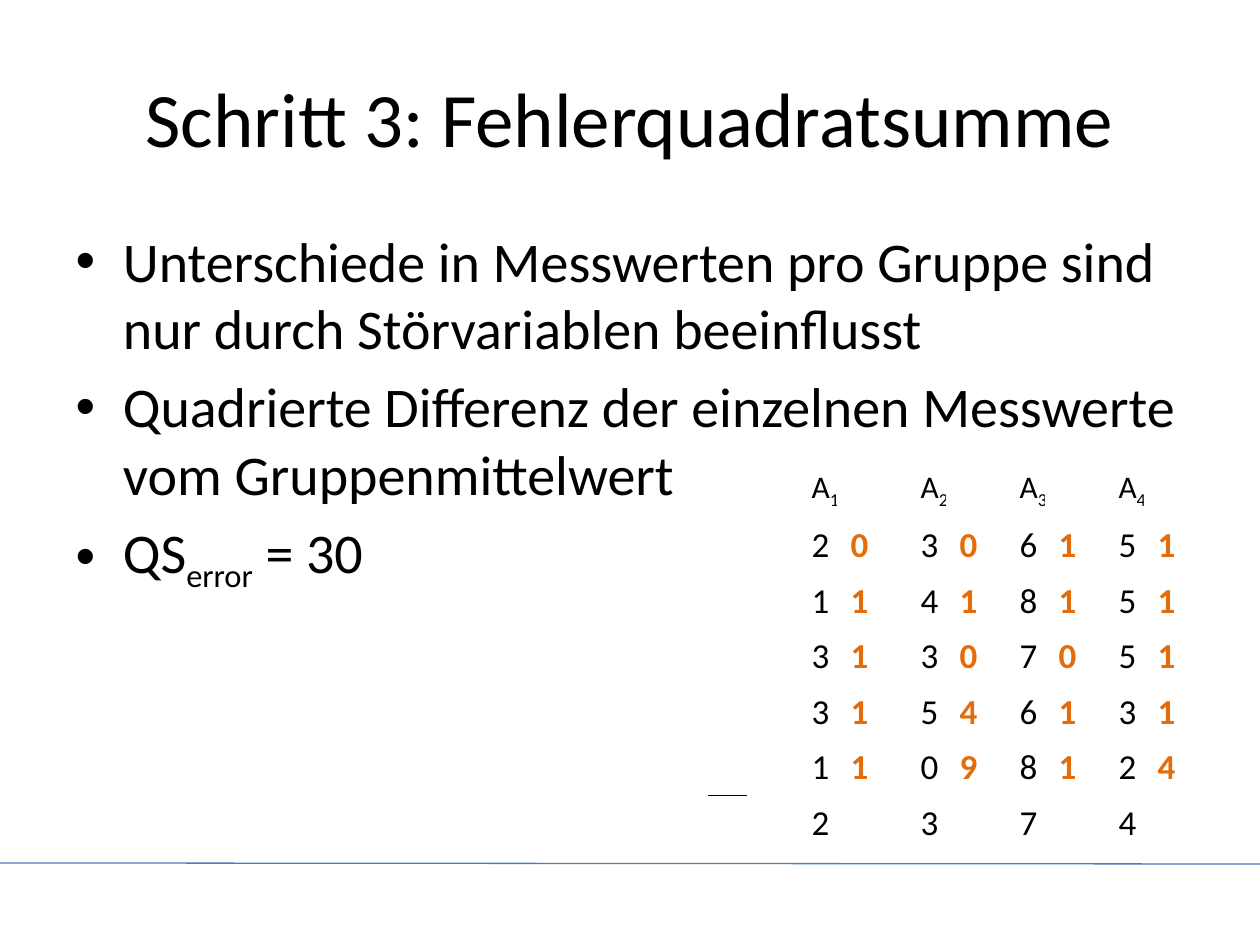
from lxml.etree import SubElement as Sub
from pptx import Presentation
from pptx.dml.color import RGBColor
from pptx.enum.shapes import MSO_CONNECTOR as Conn
from pptx.enum.text import MSO_ANCHOR as Anchor, PP_ALIGN as Align
from pptx.oxml.ns import qn
from pptx.util import Pt

PX = 914400 / 126
BLACK = RGBColor(0, 0, 0)
WHITE = RGBColor(255, 255, 255)
ORANGE = RGBColor(0xE4, 0x6C, 0x0A)
BLUE = RGBColor(0x4B, 0x7E, 0xBC)

COLS = [90, 109, 99, 99, 99]
ROWS = [56, 55, 55, 55, 55, 55, 55]
HEADS = ["1", "2", "3", "4"]
SCORES = ["2365", "1485", "3375", "3563", "1082", "2374"]
ERRORS = ["0011", "1111", "1001", "1411", "1914"]
POINTS = [
    ["Unterschiede in Messwerten pro Gruppe sind nur durch Störvariablen beeinflusst"],
    ["Quadrierte Differenz der einzelnen Messwerte vom Gruppenmittelwert"],
    ["QS", "error", " = 30"],
]


def px(n):
    return round(n * PX)


def place(shape, box):
    shape.left, shape.top, shape.width, shape.height = map(px, box)


def put(para, text, size=20, color=BLACK, bold=False, sub=False):
    run = para.add_run()
    run.text = text
    font = run.font
    font.name, font.size, font.bold = "Calibri", Pt(size), bold
    font.color.rgb = color
    if sub:
        run._r.get_or_add_rPr().set("baseline", "-25000")


def edge(cell, side, color=WHITE, width=1):
    line = Sub(cell._tc.get_or_add_tcPr(), qn(f"a:ln{side}"), w=str(Pt(width)))
    fill = Sub(line, qn("a:solidFill"))
    Sub(fill, qn("a:srgbClr"), val=str(color))


def title(slide, box):
    shape = slide.shapes.title
    place(shape, box)
    frame = shape.text_frame
    frame.vertical_anchor = Anchor.MIDDLE
    para = frame.paragraphs[0]
    para.alignment = Align.CENTER
    put(para, "Schritt 3: Fehlerquadratsumme", size=44)


def body(slide, box):
    shape = slide.placeholders[1]
    place(shape, box)
    frame = shape.text_frame
    for i, parts in enumerate(POINTS):
        para = frame.add_paragraph() if i else frame.paragraphs[0]
        for j, part in enumerate(parts):
            put(para, part, size=32, sub=j == 1)


def grid(slide, box, data, heads=(), rule=WHITE, **style):
    frame = slide.shapes.add_table(len(ROWS), len(COLS), *map(px, box))
    table = frame.table
    table.first_row = table.horz_banding = False
    for col, wide in zip(table.columns, COLS):
        col.width = px(wide)
    for row, high in zip(table.rows, ROWS):
        row.height = px(high)
    last = len(ROWS) - 1
    for r in range(len(ROWS)):
        for c in range(len(COLS)):
            cell = table.cell(r, c)
            edge(cell, "L")
            edge(cell, "R")
            edge(cell, "T", color=rule if r == last else WHITE, width=3 if r == 1 else 1)
            edge(cell, "B", color=rule if r == last - 1 else WHITE, width=3 if r == 0 else 1)
            cell.fill.background()
    for c, head in enumerate(heads, 1):
        para = table.cell(0, c).text_frame.paragraphs[0]
        put(para, "A", size=18)
        put(para, head, size=18, sub=True)
    for r, digits in enumerate(data, 1):
        for c, digit in enumerate(digits, 1):
            put(table.cell(r, c).text_frame.paragraphs[0], digit, **style)


def foot(slide, box):
    left, top, wide, high = box
    ends = left, top, left + wide, top + high
    line = slide.shapes.add_connector(Conn.STRAIGHT, *map(px, ends))
    line.line.color.rgb = BLUE
    line.line.width = Pt(0.75)
    Sub(line._element.spPr, qn("a:effectLst"))


def main():
    deck = Presentation()
    deck.slide_width, deck.slide_height = px(1260), px(945)
    slide = deck.slides.add_slide(deck.slide_layouts[1])
    foot(slide, (0, 863, 1260, 1))
    body(slide, (63, 220, 1134, 624))
    title(slide, (63, 38, 1134, 158))
    wide, high = sum(COLS), sum(ROWS)
    grid(slide, (709, 462, wide, high), SCORES, heads=HEADS, rule=BLACK)
    grid(slide, (748, 462, wide, high), ERRORS, color=ORANGE, bold=True)
    deck.save("out.pptx")


if __name__ == "__main__":
    main()
